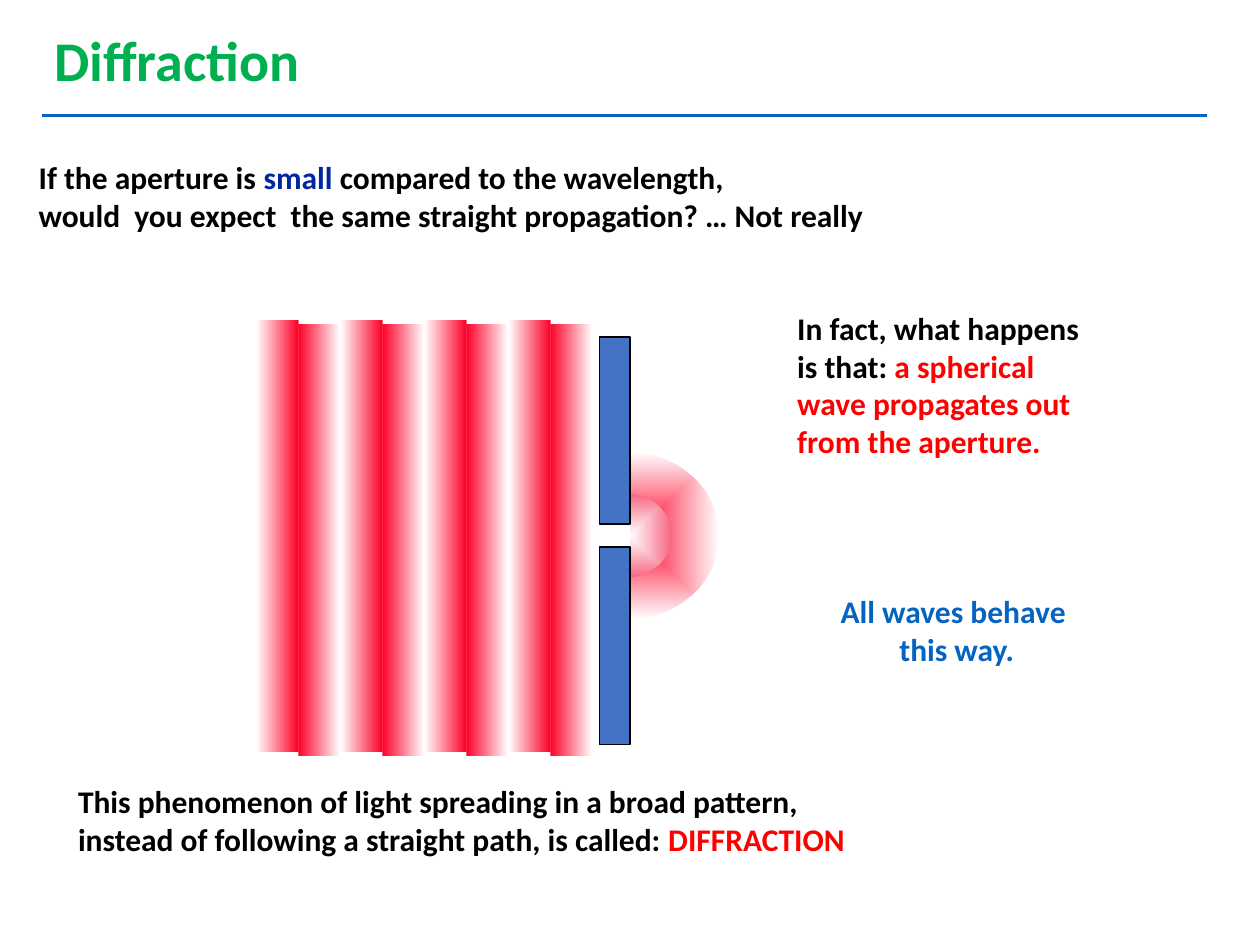
"""Build a slide on diffraction of a wave at a small aperture."""
from lxml import etree
from pptx import Presentation
from pptx.dml import color
from pptx.enum import shapes, text
from pptx.oxml import ns
from pptx.util import Pt

COLORS = {
    "black": "000000", "white": "FFFFFF", "red": "FF0000", "wave": "FC0128",
    "pink": "F76681", "barrier": "4472C4", "blue": "0563C1",
    "navy": "00279F", "green": "00B050",
}
RGB = {name: color.RGBColor.from_string(value) for name, value in COLORS.items()}
RECT, OVAL = shapes.MSO_SHAPE.RECTANGLE, shapes.MSO_SHAPE.OVAL

prs = Presentation()
prs.slide_width, prs.slide_height = Pt(720), Pt(540)
slide = prs.slides.add_slide(prs.slide_layouts[6])


def add_filled(parent, kind, box, *fills):
    shape = parent.shapes.add_shape(kind, *map(Pt, box))
    shape.shadow.inherit = False
    shape.line.fill.background()
    if len(fills) == 1:
        shape.fill.solid()
        shape.fill.fore_color.rgb = RGB[fills[0]]
    else:
        shape.fill.gradient()
        shape.fill.gradient_angle = 0
        for stop, name in zip(shape.fill.gradient_stops, fills):
            stop.color.rgb = RGB[name]
    return shape


def add_text(box, lines, size=18, align=text.PP_ALIGN.LEFT):
    frame = slide.shapes.add_textbox(*map(Pt, box)).text_frame
    frame.word_wrap = True
    for i, line in enumerate(lines):
        paragraph = frame.paragraphs[0] if i == 0 else frame.add_paragraph()
        paragraph.alignment = align
        paragraph.font.size, paragraph.font.bold = Pt(size), True
        paragraph.font.name = "Calibri"
        for words, name in line:
            run = paragraph.add_run()
            run.text = words
            if len(line) > 1:
                run.font.color.rgb = RGB[name]
            else:
                paragraph.font.color.rgb = RGB[name]


spherical_wave = slide.shapes.add_group_shape()
for box, inner, outer in [
    ((303, 258, 108, 96), "wave", "white"),
    ((330, 282, 54, 48), "white", "pink"),
]:
    ring = add_filled(spherical_wave, OVAL, box, inner, outer)
    linear = ring._element.spPr.find(".//" + ns.qn("a:lin"))
    radial = etree.Element(ns.qn("a:path"), path="shape")
    etree.SubElement(radial, ns.qn("a:fillToRect"), l="50000", t="50000", r="50000", b="50000")
    linear.getparent().replace(linear, radial)
add_filled(spherical_wave, RECT, (300, 252, 60, 126), "white")

for top, height in [(192.5, 107), (312.5, 113)]:
    barrier = add_filled(slide, RECT, (342.5, top, 17.5, height), "barrier")
    barrier.line.color.rgb = RGB["black"]
    barrier.line.width = Pt(1)

plane_waves = slide.shapes.add_group_shape()
for i in range(4):
    left = 146.5 + 48 * i
    add_filled(plane_waves, RECT, (left, 183, 24, 247), "white", "wave")
    add_filled(plane_waves, RECT, (left + 24, 185, 24, 247), "wave", "white")

add_text((448.5, 173, 236, 122), [
    [("In fact, what happens", "black")],
    [("is that: ", "black"), ("a spherical", "red")],
    [("wave propagates out", "red")],
    [("from the aperture.", "red")],
])
add_text((448.5, 335, 196.5, 65), [
    [("All waves behave ", "blue")],
    [("this way.", "blue")],
], align=text.PP_ALIGN.CENTER)
add_text((24, 11, 418, 45), [[("Diffraction", "green")]], size=32)

rule = slide.shapes.add_connector(
    shapes.MSO_CONNECTOR.STRAIGHT, Pt(24), Pt(66), Pt(690), Pt(66))
rule.line.color.rgb = RGB["blue"]
rule.line.width = Pt(2.25)
etree.SubElement(rule._element.spPr, ns.qn("a:effectLst"))

add_text((37.5, 443.5, 654.5, 65), [
    [("This phenomenon of light spreading in a broad pattern,", "black")],
    [("instead of following a straight path, is called: ", "black"), ("DIFFRACTION", "red")],
])
add_text((15, 87, 677.5, 65), [
    [("If the aperture is ", "black"), ("small", "navy"), (" compared to the wavelength,", "black")],
    [("would  you expect  the same straight propagation? … Not really", "black")],
])

prs.save("out.pptx")
